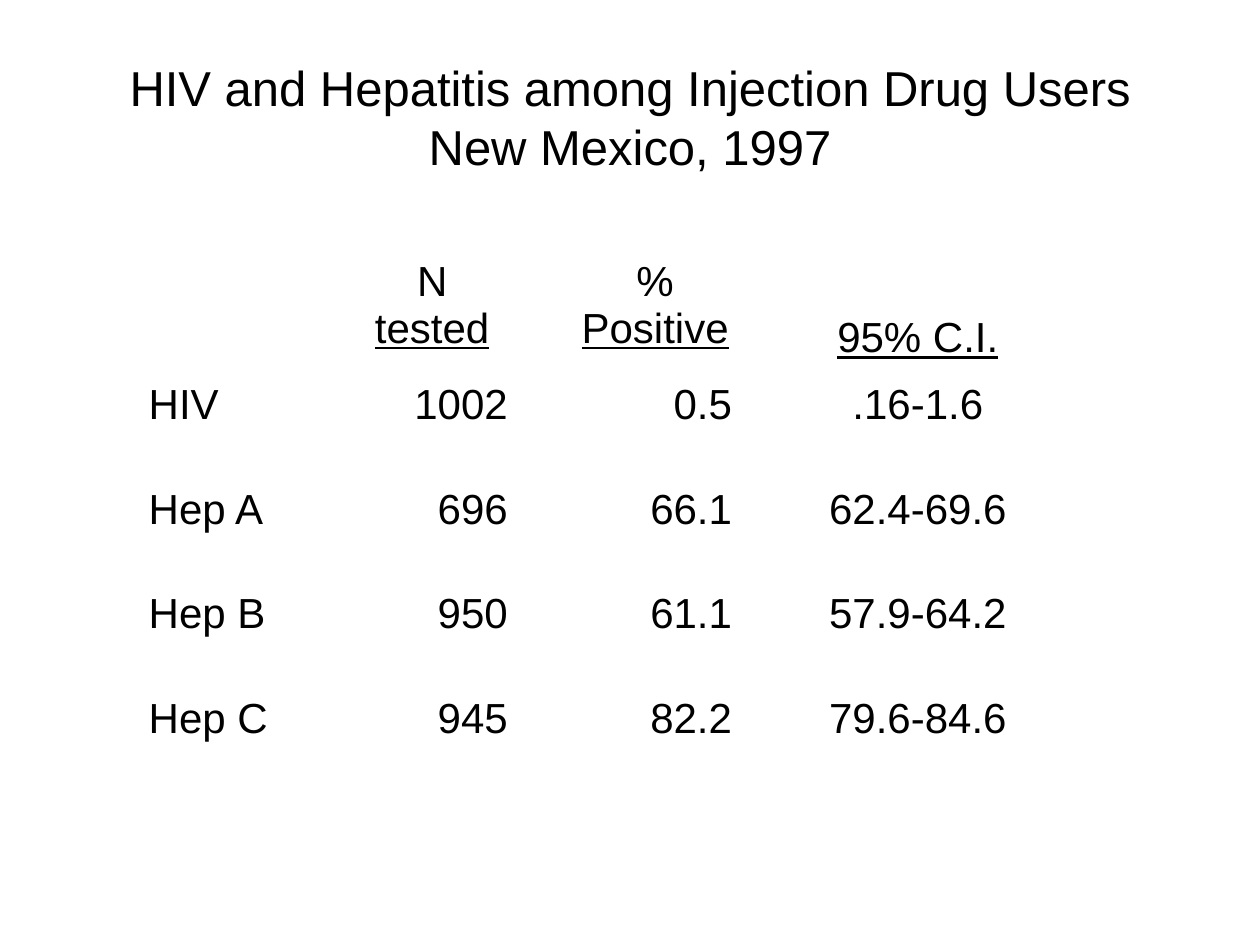
from dataclasses import dataclass

from pptx import Presentation
from pptx.dml.color import RGBColor
from pptx.enum.text import MSO_ANCHOR, PP_ALIGN
from pptx.slide import Slide
from pptx.util import Inches, Pt

LEFT, CENTER, RIGHT = PP_ALIGN.LEFT, PP_ALIGN.CENTER, PP_ALIGN.RIGHT
MIDDLE, BOTTOM = MSO_ANCHOR.MIDDLE, MSO_ANCHOR.BOTTOM
COLORS = {"text": "000000"}

COLUMN_WIDTHS = [1.65, 1.4, 0.36, 1.42, 2.75]
ROW_HEIGHTS = [0.98] + [0.83] * 4
ALIGNMENTS = [LEFT, RIGHT, LEFT, RIGHT, CENTER]
HEADINGS = {
    1: [("N", False), (" tested", True)],
    3: [("% ", False), ("Positive", True)],
    4: [("95% C.I.", True)],
}
RESULTS = [
    ["HIV", "1002", "", "0.5", ".16-1.6"],
    ["Hep A", "696", "", "66.1", "62.4-69.6"],
    ["Hep B", "950", "", "61.1", "57.9-64.2"],
    ["Hep C", "945", "", "82.2", "79.6-84.6"],
]


@dataclass
class SlideBuilder:
    """Holds the text style and the slide that receives the elements."""

    slide: Slide
    font_name: str = "Arial"
    title_size: int = 28
    table_size: int = 24

    def style(self, para, size, alignment):
        para.alignment = alignment
        para.font.name = self.font_name
        para.font.size = Pt(size)
        para.font.color.rgb = RGBColor.from_string(COLORS["text"])

    def title(self, text, left, top, width, height):
        box = self.slide.shapes.add_textbox(
            Inches(left), Inches(top), Inches(width), Inches(height))
        frame = box.text_frame
        frame.word_wrap = True
        frame.vertical_anchor = MIDDLE
        para = frame.paragraphs[0]
        para.text = text
        self.style(para, self.title_size, CENTER)

    def table(self, left, top):
        frame = self.slide.shapes.add_table(
            len(ROW_HEIGHTS), len(COLUMN_WIDTHS), Inches(left), Inches(top),
            Inches(sum(COLUMN_WIDTHS)), Inches(sum(ROW_HEIGHTS)))
        table = frame.table
        table.first_row = table.horz_banding = False
        for column, width in zip(table.columns, COLUMN_WIDTHS):
            column.width = Inches(width)
        for row, height in zip(table.rows, ROW_HEIGHTS):
            row.height = Inches(height)
        for cell in table.iter_cells():
            cell.fill.background()
        for column, spans in HEADINGS.items():
            self.cell(table.cell(0, column), spans, CENTER)
        for row, values in enumerate(RESULTS, start=1):
            for column, value in enumerate(values):
                if value:
                    self.cell(table.cell(row, column), [(value, False)],
                              ALIGNMENTS[column])
        interval_heading = table.cell(0, 4)
        interval_heading.vertical_anchor = BOTTOM
        interval_heading.margin_bottom = Inches(0.11)

    def cell(self, cell, spans, alignment):
        para = cell.text_frame.paragraphs[0]
        self.style(para, self.table_size, alignment)
        for text, underlined in spans:
            span = para.add_run()
            span.text = text
            if underlined:
                span.font.underline = True


def main():
    deck = Presentation()
    deck.slide_width, deck.slide_height = Inches(10), Inches(7.5)
    page = SlideBuilder(deck.slides.add_slide(deck.slide_layouts[6]))
    page.title("HIV and Hepatitis among Injection Drug Users\vNew Mexico, 1997",
               0.5, 0.3, 9, 1.25)
    page.table(1.08, 2)
    deck.save("out.pptx")


if __name__ == "__main__":
    main()
